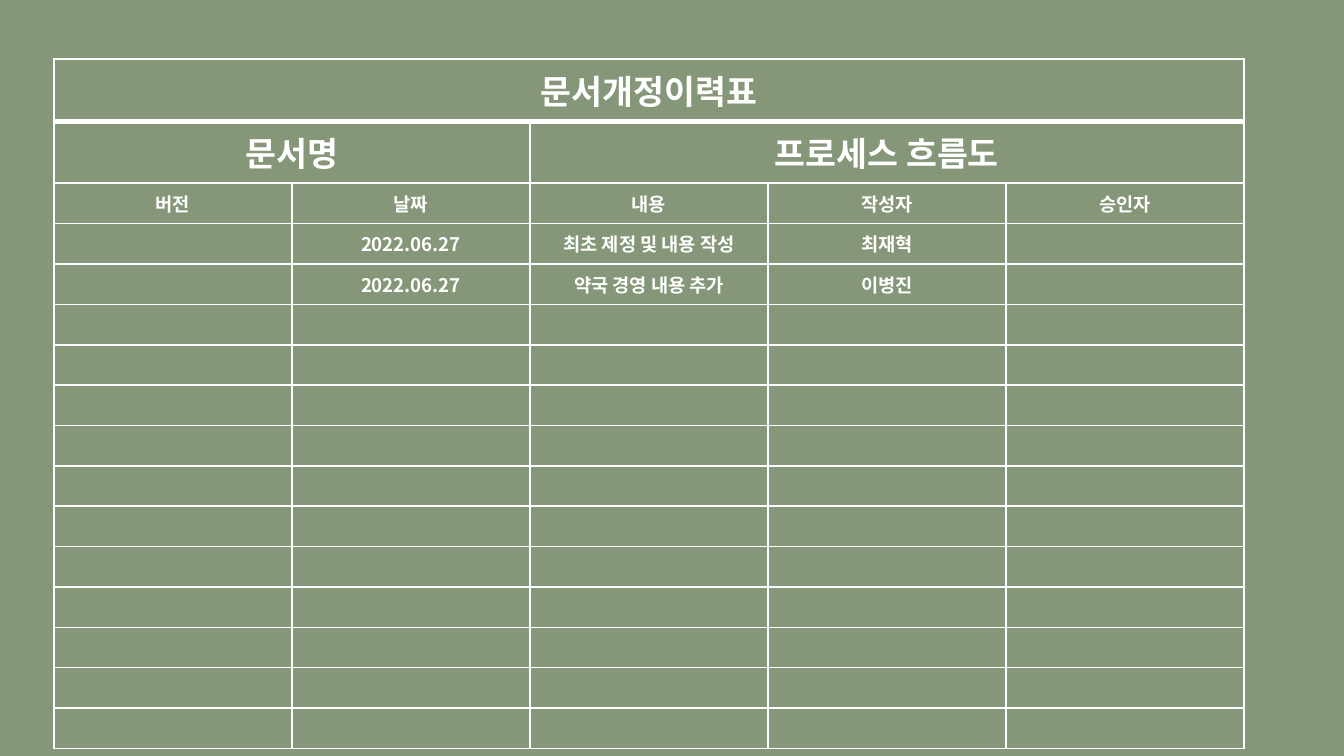
import pptx
import pptx.dml.color
import pptx.enum.text
import pptx.oxml.ns
import pptx.util
from lxml import etree

# Content: each row lists (text, columns spanned)
TITLE_ROWS = [
    [("문서개정이력표", 5)],
    [("문서명", 2), ("프로세스 흐름도", 3)],
]
HISTORY = [
    ["버전", "날짜", "내용", "작성자", "승인자"],
    ["", "2022.06.27", "최초 제정 및 내용 작성", "최재혁", ""],
    ["", "2022.06.27", "약국 경영 내용 추가", "이병진", ""],
]
EMPTY_ROWS = 11
COLUMNS = 5

THEME = {
    "font": "Noto Sans CJK KR",
    "green": "859778",
    "white": "FFFFFF",
    "title_size": 18,
    "body_size": 10,
    "thin": 1,
    "thick": 3,
}

# Lengths in px
PX = 914400 / 134.4
PAGE_SIZE = (1344, 756)
LEFT, TOP, COLUMN_WIDTH = 54, 59, 238
TITLE_HEIGHTS, BODY_HEIGHT = [60, 55], 36


def emu(px):
    return pptx.util.Emu(round(px * PX))


def color(name):
    return pptx.dml.color.RGBColor.from_string(THEME[name])


def add_child(parent, tag, **attributes):
    return etree.SubElement(parent, pptx.oxml.ns.qn(tag), attributes)


def set_borders(cell, widths):
    properties = cell._tc.get_or_add_tcPr()
    for index, (side, width) in enumerate(widths.items()):
        line = add_child(properties, f"a:ln{side}", w=str(pptx.util.Pt(width)))
        fill = add_child(line, "a:solidFill")
        add_child(fill, "a:srgbClr", val=THEME["white"])
        properties.insert(index, line)  # borders come before the fill


def write_text(cell, text, size):
    para = cell.text_frame.paragraphs[0]
    para.alignment = pptx.enum.text.PP_ALIGN.CENTER
    if not text:  # the empty line keeps the row at the body size
        end = add_child(para._p, "a:endParaRPr", sz=str(size * 100))
        for script in ("latin", "ea"):
            add_child(end, f"a:{script}", typeface=THEME["font"])
        return
    span = para.add_run()
    span.text = text
    formats = {"name": THEME["font"], "size": pptx.util.Pt(size), "bold": True}
    for name, value in formats.items():
        setattr(span.font, name, value)
    span.font.color.rgb = color("white")
    add_child(span._r.get_or_add_rPr(), "a:ea", typeface=THEME["font"])


def style_cell(cell, row):
    cell.vertical_anchor = pptx.enum.text.MSO_ANCHOR.MIDDLE
    cell.fill.solid()
    cell.fill.fore_color.rgb = color("green")
    widths = dict.fromkeys("LRTB", THEME["thin"])
    if row < 2:  # heavy rule under the table title
        widths["B" if row == 0 else "T"] = THEME["thick"]
    set_borders(cell, widths)


def main():
    deck = pptx.Presentation()
    deck.slide_width, deck.slide_height = map(emu, PAGE_SIZE)
    page = deck.slides.add_slide(deck.slide_layouts[6])
    page.background.fill.solid()
    page.background.fill.fore_color.rgb = color("green")

    # Revision history table
    body = HISTORY + [[""] * COLUMNS] * EMPTY_ROWS
    rows = TITLE_ROWS + [[(text, 1) for text in line] for line in body]
    heights = TITLE_HEIGHTS + [BODY_HEIGHT] * len(body)
    table = page.shapes.add_table(
        len(rows), COLUMNS, emu(LEFT), emu(TOP),
        emu(COLUMN_WIDTH * COLUMNS), emu(sum(heights))).table
    for column in table.columns:
        column.width = emu(COLUMN_WIDTH)

    for row, (line, height) in enumerate(zip(rows, heights)):
        table.rows[row].height = emu(height)
        size = THEME["title_size" if row < len(TITLE_ROWS) else "body_size"]
        for column in range(COLUMNS):
            style_cell(table.cell(row, column), row)
        column = 0
        for text, width in line:
            cell = table.cell(row, column)
            if width > 1:
                cell.merge(table.cell(row, column + width - 1))
            write_text(cell, text, size)
            column += width

    deck.save("out.pptx")


if __name__ == "__main__":
    main()
